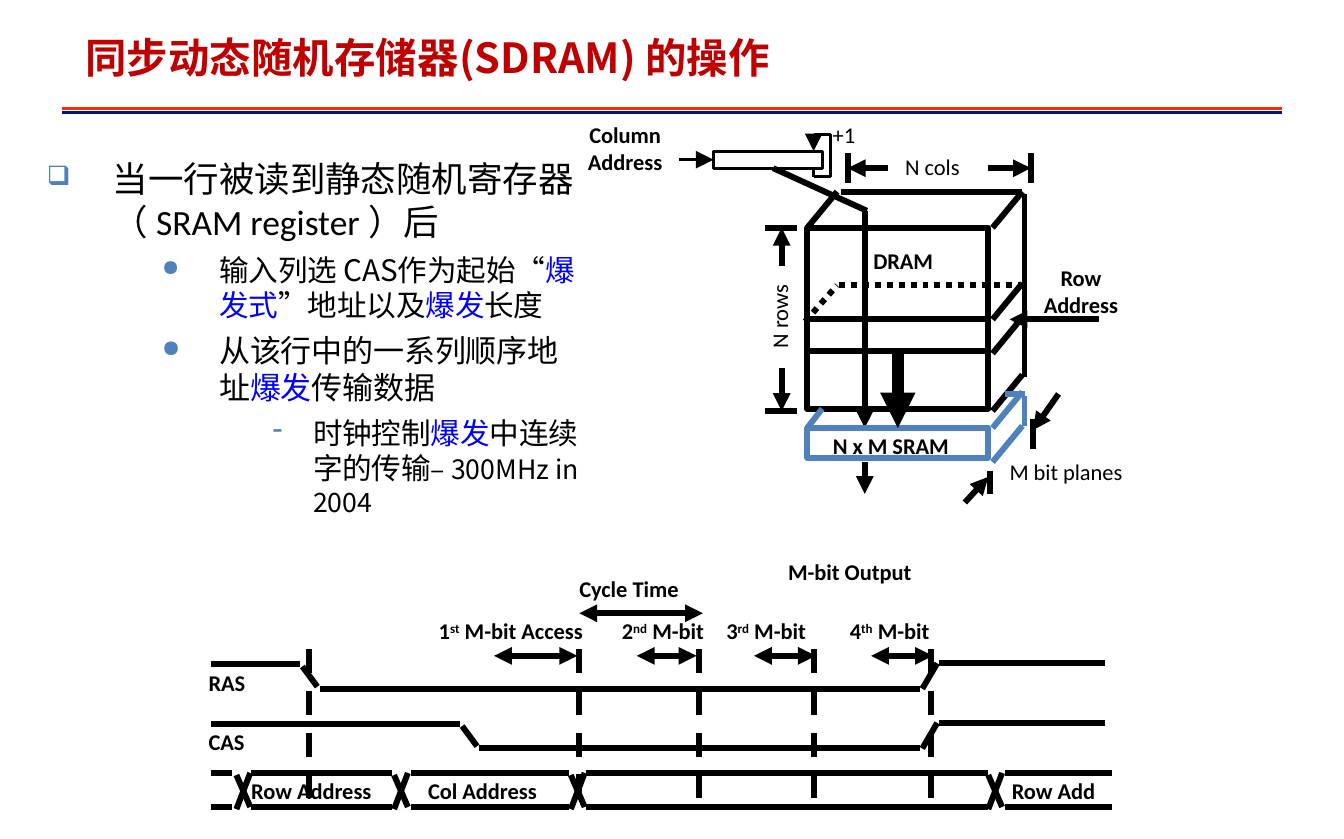
from dataclasses import dataclass

from lxml.etree import SubElement
from pptx import Presentation
from pptx.dml.color import RGBColor as Color
from pptx.enum.dml import MSO_LINE as Dash
from pptx.enum.shapes import MSO_CONNECTOR as Link, MSO_SHAPE as Shape
from pptx.enum.text import MSO_ANCHOR as Anchor, MSO_AUTO_SIZE as Fit, PP_ALIGN as Align
from pptx.oxml.ns import qn
from pptx.util import Inches, Pt


@dataclass(frozen=True)
class Theme:
    black: str = "000000"
    title: str = "C00000"
    accent: str = "4F81BD"
    keyword: str = "0000FF"
    rule_top: str = "FF2600"
    rule_bottom: str = "011279"
    latin: str = "Calibri"
    chinese: str = "Noto Sans CJK SC"
    title_size: float = 14
    label_size: float = 7.6
    thin: float = 1
    thick: float = 2
    heavy: float = 4


THEME = Theme()
COLUMNS, ROWS = 631, 394
CELL = Inches(6.31) // COLUMNS


def add_span(para, text, size, color=THEME.black, face=THEME.latin, bold=False, raised=False):
    span = para.add_run()
    span.text = text
    font = span.font
    font.size, font.bold, font.name = Pt(size), bold, face
    font.color.rgb = Color.from_string(color)
    props = span._r.get_or_add_rPr()
    SubElement(props, qn("a:ea")).set("typeface", THEME.chinese)
    if raised:
        props.set("baseline", "30000")


def set_margins(frame, left, right, end):
    frame.margin_left, frame.margin_right = left * CELL, right * CELL
    frame.margin_top = frame.margin_bottom = end * CELL


class Region:
    def __init__(self, page, left, top):
        self.shapes, self.left, self.top = page.shapes, left, top

    def place(self, x, y):
        return round((self.left + x) * CELL), round((self.top + y) * CELL)

    def line(self, x1, y1, x2, y2, color=THEME.black, width=THEME.thick,
             head=False, tail=False, dash=None):
        line = self.shapes.add_connector(Link.STRAIGHT, *self.place(x1, y1), *self.place(x2, y2))
        line.line.color.rgb = Color.from_string(color)
        line.line.width = Pt(width)
        if dash:
            line.line.dash_style = dash
        outline = line.line._get_or_add_ln()
        for tag, wanted in (("a:headEnd", head), ("a:tailEnd", tail)):
            if wanted:
                SubElement(outline, qn(tag)).set("type", "triangle")
        SubElement(line._element.spPr, qn("a:effectLst"))
        return line

    def rect(self, width, height, color=THEME.black, weight=THEME.thick):
        box = self.shapes.add_shape(Shape.RECTANGLE, *self.place(0, 0), width * CELL, height * CELL)
        box.shadow.inherit = False
        box.fill.background()
        box.line.color.rgb = Color.from_string(color)
        box.line.width = Pt(weight)
        return box

    def label(self, x, y, width, *lines, bold=True, turn=0):
        height = 4 + 13 * len(lines)
        box = self.shapes.add_textbox(*self.place(x, y), width * CELL, height * CELL)
        box.rotation = turn
        frame = box.text_frame
        frame.word_wrap, frame.auto_size = True, Fit.NONE
        centred = len(lines) > 1
        set_margins(frame, 2 if centred else 5, 2 if centred else 0, 2)
        for row, spans in enumerate(lines):
            para = frame.add_paragraph() if row else frame.paragraphs[0]
            para.alignment = Align.CENTER if centred else Align.LEFT
            for place, text in enumerate(spans):
                add_span(para, text, THEME.label_size, bold=bold, raised=place == 1)


def draw_heading(page, left, top):
    region = Region(page, left, top)
    for y, color in ((36, THEME.rule_top), (38, THEME.rule_bottom)):
        region.line(0, y, 573, y, color, THEME.thin)
    title = page.shapes.title
    title.left, title.top = region.place(11, 0)
    title.width, title.height = 362 * CELL, 33 * CELL
    frame = title.text_frame
    frame.word_wrap, frame.auto_size = False, Fit.NONE
    frame.vertical_anchor = Anchor.TOP
    set_margins(frame, 0, 0, 0)
    para = frame.paragraphs[0]
    para.alignment = Align.LEFT
    add_span(para, "同步动态随机存储器(SDRAM) 的操作", THEME.title_size, THEME.title, THEME.chinese, True)


def draw_points(page, left, top):
    levels = [(31, -31, "❑", 75), (81, -27, "●", 75), (125, -19, "-", 100)]
    points = [
        (0, THEME.latin, [("当一行被读到静态随机寄存器（ SRAM register ）后", 12)]),
        (1, THEME.chinese, [("输入列选 CAS作为起始“", 10), ("爆发式", 10), ("”地址以及", 10),
                            ("爆发", 10), ("长度", 10)]),
        (1, THEME.chinese, [("从该行中的一系列顺序地址", 10.5), ("爆发", 10.5), ("传输数据", 10.5)]),
        (2, THEME.chinese, [("时钟控制", 10), ("爆发", 10), ("中连续字的传输", 10),
                            ("– 300MHz in 2004", 9)]),
    ]
    box = page.shapes.add_textbox(left * CELL, top * CELL, 256 * CELL, 176 * CELL)
    frame = box.text_frame
    frame.word_wrap = True
    set_margins(frame, 3, 3, 1)
    for row, (level, face, spans) in enumerate(points):
        para = frame.add_paragraph() if row else frame.paragraphs[0]
        para.level, para.line_spacing, para.space_before = level, 1.0, Pt(3)
        margin, indent, mark, share = levels[level]
        props = para._p.get_or_add_pPr()
        props.set("marL", str(margin * CELL))
        props.set("indent", str(indent * CELL))
        tint = SubElement(props, qn("a:buClr"))
        SubElement(tint, qn("a:srgbClr")).set("val", THEME.accent)
        SubElement(props, qn("a:buSzPct")).set("val", str(share * 1000))
        SubElement(props, qn("a:buChar")).set("char", mark)
        for text, size in spans:
            color = THEME.keyword if text.startswith("爆发") else THEME.black
            add_span(para, text, size, color, face)


def draw_counter(page, left, top):
    region = Region(page, left, top)
    register = region.rect(51, 8, weight=THEME.thin)
    feed = region.line(-16, 4, 0, 4, width=THEME.thin, tail=True)
    feed.end_connect(register, 1)
    loop = [(47, 8), (47, 12), (55, 12), (55, -8), (47, -8), (47, 0)]
    for start, end in zip(loop, loop[1:]):
        region.line(*start, *end, width=THEME.thin, tail=end == loop[-1])
    region.line(72, 28, 28, 8)
    region.label(-64, -16, 45, ["Column"], ["Address"])
    region.label(51, -16, 20, ["+1"], bold=False)


def draw_array(page, left, top):
    region = Region(page, left, top)
    region.rect(85, 85)
    region.line(0, 0, 14, -17)
    for y in (0, 43, 59, 86):
        region.line(87, y, 101, y - 17)
    region.line(16, -17, 101, -17)
    region.line(102, -16, 102, 70)
    for y in (43, 58):
        region.line(0, y, 85, y)
    region.line(-1, 44, 14, 27, dash=Dash.ROUND_DOT)
    region.line(15, 27, 100, 27, dash=Dash.ROUND_DOT)
    for y, inner in ((0, 18), (86, 66)):
        region.line(-20, y, -5, y)
        region.line(-12, y, -12, inner, head=True)
    for x, inner in ((19, 38), (105, 85)):
        region.line(x, -35, x, -21)
        region.line(x, -28, inner, -28, head=True)
    region.line(95, 43, 137, 43, head=True)
    region.line(27, -8, 27, 94, tail=True)
    region.label(-33, 33, 40, ["N rows"], bold=False, turn=270)
    region.label(41, -37, 36, ["N cols"], bold=False)
    region.label(26, 7, 38, ["DRAM"])
    region.label(106, 15, 45, ["Row"], ["Address"])


def draw_buffer(page, left, top):
    region = Region(page, left, top)
    front = region.rect(85, 14, THEME.accent)
    for edge in ((87, 0, 101, -17), (87, 16, 101, -1), (102, -15, 102, -1),
                 (0, 0, 7, -9), (102, -16, 93, -16)):
        region.line(*edge, THEME.accent)
    region.line(86, 20, 86, 31)
    region.line(106, -4, 106, 10)
    region.line(74, 35, 85, 23, tail=True)
    region.line(106, 1, 118, -16, head=True)
    transfer = region.line(42.5, -36, 42.5, 0, width=THEME.heavy, tail=True)
    transfer.end_connect(front, 0)
    region.line(27, 16, 27, 31, tail=True)
    region.label(7, 0, 65, ["N x M SRAM"])
    region.label(90, 12, 63, ["M bit planes"], bold=False)
    region.label(-14, 59, 68, ["M-bit Output"])


def draw_timing(page, left, top):
    region = Region(page, left, top)
    for name, high, fall in (("RAS", 7, 42), ("CAS", 35, 117)):
        low = high + 11.5
        region.line(0, high, fall, high)
        region.line(fall + 1, high + 1, fall + 8, low - 1)
        region.line(fall + 9, low, 333, low)
        region.line(334, low, 341, high - 0.5)
        region.line(342, high - 0.5, 420, high - 0.5)
        region.label(-6, high, 27, [name])
    for start, end in ((0, 10), (19, 85), (94, 168), (176, 365), (373, 423)):
        for y in (58, 74):
            region.line(start, y, end, y)
    for x in (12, 86, 169, 365):
        region.line(x, 59, x + 6.5, 74)
        region.line(x, 75, x + 6.5, 58)
    for x, width, text in ((14, 67, "Row Address"), (97, 61, "Col Address"), (371, 52, "Row Add")):
        region.label(x, 58, width, [text])
    for x in (46, 173, 229, 283, 338):
        region.line(x, 0, x, 77, dash=Dash.DASH)
    accesses = [(133, 172, 102, 79, ["1", "st", " M-bit Access"]),
                (200, 228, 188, 50, ["2", "nd", " M-bit"]),
                (255, 284, 237, 48, ["3", "rd", " M-bit"]),
                (310, 339, 295, 48, ["4", "th", " M-bit"])]
    for start, end, x, width, spans in accesses:
        region.line(start, 3, end, 3, head=True, tail=True)
        region.label(x, -17, width, spans)
    region.line(173, -17, 231, -17, head=True, tail=True)
    region.label(168, -37, 57, ["Cycle Time"])


def main():
    deck = Presentation()
    deck.slide_width, deck.slide_height = COLUMNS * CELL, ROWS * CELL
    page = deck.slides.add_slide(deck.slide_layouts[5])
    draw_heading(page, 29, 15)
    draw_points(page, 19, 73)
    draw_counter(page, 335, 71)
    draw_array(page, 379, 107)
    draw_buffer(page, 379, 201)
    draw_timing(page, 99, 305)
    deck.save("out.pptx")


if __name__ == "__main__":
    main()
